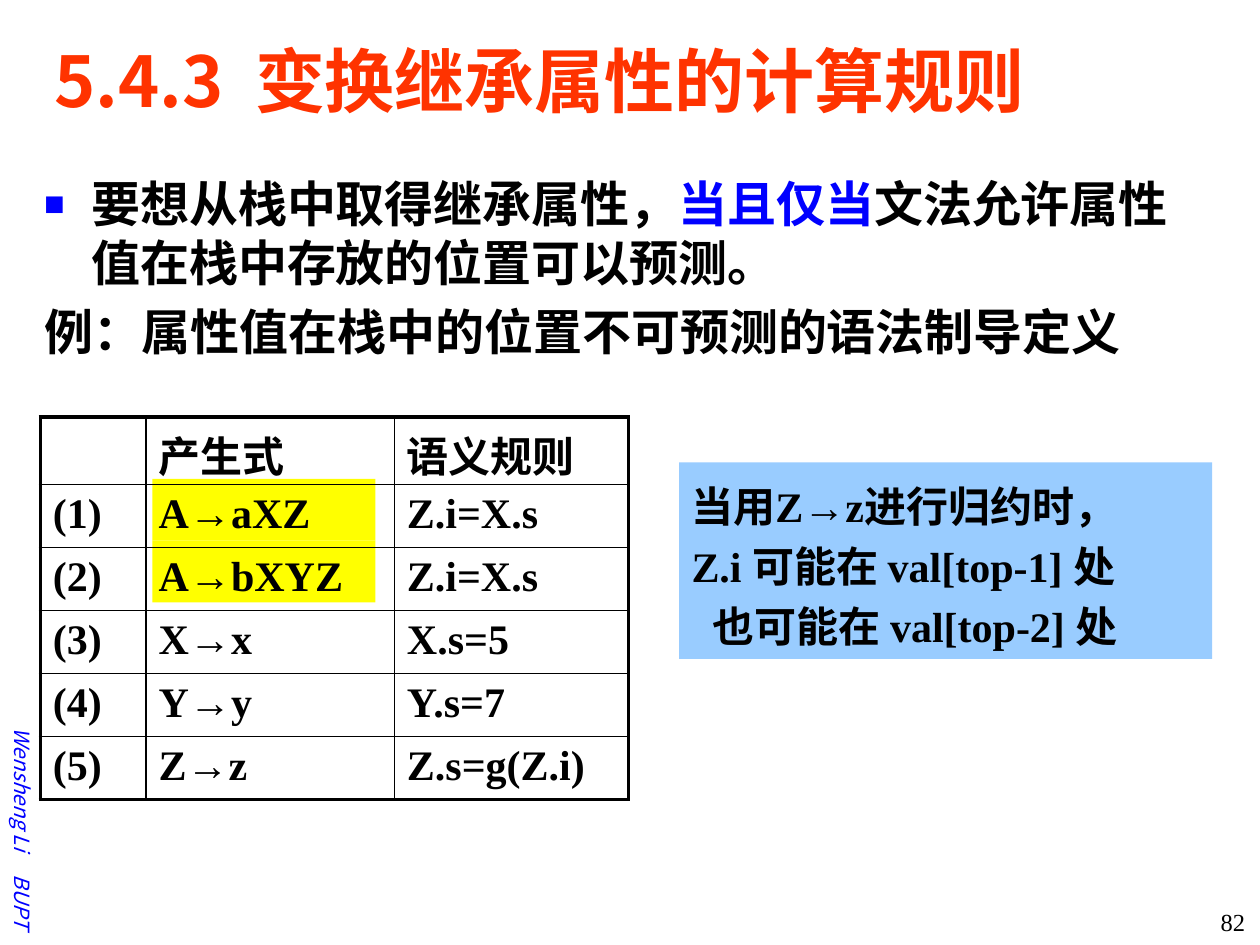
from dataclasses import dataclass
from typing import Any, Optional

from lxml import etree
from pptx import Presentation
from pptx.dml.color import RGBColor
from pptx.enum.shapes import MSO_SHAPE
from pptx.enum.text import MSO_ANCHOR, PP_ALIGN
from pptx.oxml.ns import qn
from pptx.util import Pt

RECTANGLE = MSO_SHAPE.RECTANGLE
MIDDLE, TOP = MSO_ANCHOR.MIDDLE, MSO_ANCHOR.TOP
LEFT, RIGHT = PP_ALIGN.LEFT, PP_ALIGN.RIGHT


@dataclass(frozen=True)
class Theme:
    sans: str = "Noto Sans CJK SC"
    serif: str = "Times New Roman"
    black: str = "000000"
    blue: str = "0000FF"
    title: str = "FF3300"
    highlight: str = "FFFF00"
    note: str = "99CCFF"
    title_size: float = 40
    body_size: float = 28
    table_size: float = 24
    number_size: float = 14
    author_size: float = 12
    thin: float = 1
    thick: float = 2.25


THEME = Theme()


@dataclass(frozen=True)
class Box:
    left: float
    top: float
    width: float
    height: float

    def lengths(self) -> dict[str, Any]:
        return {name: Pt(getattr(self, name)) for name in ("left", "top", "width", "height")}


@dataclass(frozen=True)
class Style:
    size: float
    name: str = THEME.serif
    color: str = THEME.black
    bold: bool = True
    italic: bool = False


@dataclass(frozen=True)
class Piece:
    text: str
    style: Style
    spacing: Optional[float] = None


def set_attributes(target: Any, values: dict[str, Any]) -> None:
    for name, value in values.items():
        setattr(target, name, value)


def write(paragraph: Any, pieces: list[Piece], **layout: Any) -> None:
    """Fill one paragraph with formatted runs."""
    set_attributes(paragraph, layout)
    for piece in pieces:
        run, style = paragraph.add_run(), piece.style
        run.text = piece.text
        set_attributes(run.font, {"size": Pt(style.size), "name": style.name,
                                  "bold": style.bold, "italic": style.italic})
        run.font.color.rgb = RGBColor.from_string(style.color)
        properties = run.font._element
        etree.SubElement(properties, qn("a:ea"), typeface=THEME.sans)
        if piece.spacing is not None:
            properties.set("spc", str(int(piece.spacing * 100)))


def add_rectangle(slide: Any, box: Box, color: str) -> Any:
    shape = slide.shapes.add_shape(RECTANGLE, *box.lengths().values())
    shape.shadow.inherit = False
    shape.fill.solid()
    shape.fill.fore_color.rgb = RGBColor.from_string(color)
    shape.line.fill.background()
    return shape


def add_label(slide: Any, box: Box, pieces: list[Piece], rotation: float = 0) -> None:
    shape = slide.shapes.add_textbox(*box.lengths().values())
    shape.rotation = rotation
    set_attributes(shape.text_frame, {"word_wrap": True,
                                      "vertical_anchor": MIDDLE if rotation else TOP})
    write(shape.text_frame.paragraphs[0], pieces, alignment=RIGHT)


def set_indent(paragraph: Any, indent: float, hanging: float, bullet: bool = False) -> None:
    properties = paragraph._p.get_or_add_pPr()
    properties.set("marL", str(Pt(indent)))
    properties.set("indent", str(-Pt(hanging)))
    if bullet:
        color = etree.SubElement(properties, qn("a:buClr"))
        etree.SubElement(color, qn("a:srgbClr"), val=THEME.blue)
        etree.SubElement(properties, qn("a:buSzPct"), val="70000")
        etree.SubElement(properties, qn("a:buChar"), char="■")
    else:
        etree.SubElement(properties, qn("a:buNone"))


def set_borders(cell: Any, widths: dict[str, float]) -> None:
    properties = cell._tc.get_or_add_tcPr()
    for side, width in widths.items():
        line = etree.SubElement(properties, qn(f"a:ln{side}"), w=str(Pt(width)))
        fill = etree.SubElement(line, qn("a:solidFill"))
        etree.SubElement(fill, qn("a:srgbClr"), val=THEME.black)


def add_rules_table(slide: Any, box: Box, columns: list[float], rows: list[tuple]) -> None:
    """Draw the grid with a thick outer frame and thin inner lines."""
    table = slide.shapes.add_table(len(rows), len(columns), *box.lengths().values()).table
    set_attributes(table, {"first_row": False, "horz_banding": False})
    for column, width in zip(table.columns, columns):
        column.width = Pt(width)
    style = Style(THEME.table_size)
    for i, values in enumerate(rows):
        table.rows[i].height = Pt(box.height / len(rows))
        for j, text in enumerate(values):
            cell = table.cell(i, j)
            edges = {"L": j == 0, "R": j == len(columns) - 1,
                     "T": i == 0, "B": i == len(rows) - 1}
            set_borders(cell, {side: THEME.thick if outer else THEME.thin
                               for side, outer in edges.items()})
            cell.fill.background()
            if i == 0:
                cell.margin_bottom = Pt(0)
            if text:
                write(cell.text_frame.paragraphs[0], [Piece(text, style)])


def main() -> None:
    presentation = Presentation()
    set_attributes(presentation, {"slide_width": Pt(720), "slide_height": Pt(540)})
    slide = presentation.slides.add_slide(presentation.slide_layouts[1])
    title, body = slide.placeholders

    # Title
    set_attributes(title, Box(23.76, 12.24, 678.24, 66.24).lengths())
    title.text_frame.vertical_anchor = MIDDLE
    style = Style(THEME.title_size, THEME.sans, THEME.title)
    write(title.text_frame.paragraphs[0],
          [Piece("5.4.3", style), Piece(" ", style, 9), Piece("变换继承属性的计算规则", style)],
          alignment=LEFT)

    # Statement and example
    set_attributes(body, Box(18, 95.76, 668.16, 131.76).lengths())
    style = Style(THEME.body_size, THEME.sans)
    emphasis = Style(THEME.body_size, THEME.sans, THEME.blue)
    statement = body.text_frame.paragraphs[0]
    set_indent(statement, 27, 27, bullet=True)
    write(statement, [Piece("要想从栈中取得继承属性，", style), Piece("当且仅当", emphasis),
                      Piece("文法允许属性值在栈中存放的位置可以预测。", style)],
          space_before=Pt(0))
    example = body.text_frame.add_paragraph()
    set_indent(example, 27, 27)
    write(example, [Piece("例：属性值在栈中的位置不可预测的语法制导定义", style)],
          space_before=Pt(5.6))

    # Highlights behind the first two productions
    for row in range(2):
        add_rectangle(slide, Box(87.12, 273.6 + 35.28 * row, 127.44, 35.28), THEME.highlight)

    # Productions and semantic rules
    add_rules_table(slide, Box(23.04, 238.32, 336.24, 216), [60.48, 141.84, 133.92], [
        ("", "产生式", "语义规则"),
        ("(1)", "A→aXZ", "Z.i=X.s"),
        ("(2)", "A→bXYZ", "Z.i=X.s"),
        ("(3)", "X→x", "X.s=5"),
        ("(4)", "Y→y", "Y.s=7"),
        ("(5)", "Z→z", "Z.s=g(Z.i)"),
    ])

    # Note on the reduction
    note = add_rectangle(slide, Box(388.08, 264.24, 304.56, 112.32), THEME.note)
    set_attributes(note.text_frame, {"word_wrap": True, "vertical_anchor": MIDDLE})
    lines = [("当用Z→z进行归约时，", 0), ("Z.i 可能在 val[top-1] 处", 0),
             ("也可能在 val[top-2] 处", 12)]
    for i, (text, indent) in enumerate(lines):
        paragraph = note.text_frame.add_paragraph() if i else note.text_frame.paragraphs[0]
        set_indent(paragraph, indent, 0)
        write(paragraph, [Piece(text, Style(THEME.table_size))],
              alignment=LEFT, line_spacing=1.2)

    # Author along the left edge, and slide number
    style = Style(THEME.author_size, THEME.sans, THEME.blue, bold=False, italic=True)
    add_label(slide, Box(-82.08, 432, 190.08, 21.6),
              [Piece("Wensheng Li", style), Piece(" ", style, 10.8), Piece("BUPT", style)], 90)
    add_label(slide, Box(650.88, 514.8, 67.68, 21.6),
              [Piece("82", Style(THEME.number_size, bold=False))])

    presentation.save("out.pptx")


if __name__ == "__main__":
    main()
